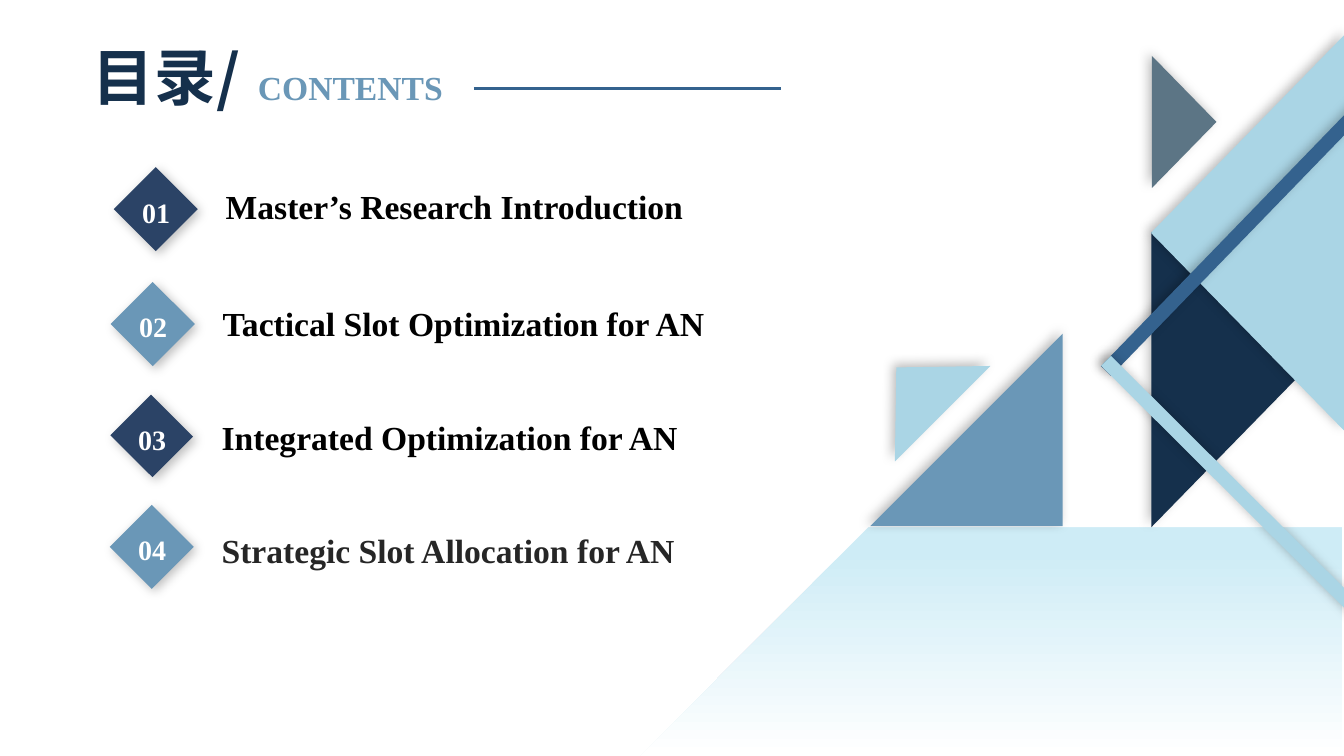
from pptx import Presentation
from pptx.dml.color import RGBColor
from pptx.enum.shapes import MSO_CONNECTOR, MSO_SHAPE
from pptx.enum.text import MSO_ANCHOR, MSO_AUTO_SIZE, PP_ALIGN
from pptx.oxml.ns import qn
from pptx.util import Inches, Pt
from lxml import etree

TRIANGLE, RECT = MSO_SHAPE.ISOSCELES_TRIANGLE, MSO_SHAPE.RECTANGLE
STRAIGHT = MSO_CONNECTOR.STRAIGHT
LEFT, CENTER = PP_ALIGN.LEFT, PP_ALIGN.CENTER
TOP, NO_FIT = MSO_ANCHOR.TOP, MSO_AUTO_SIZE.NONE

WHITE = RGBColor(0xFF, 0xFF, 0xFF)
BLACK = RGBColor(0x00, 0x00, 0x00)
CHARCOAL = RGBColor(0x26, 0x26, 0x26)
NAVY = RGBColor(0x15, 0x30, 0x4C)
INDIGO = RGBColor(0x2B, 0x43, 0x66)
BLUE = RGBColor(0x34, 0x62, 0x8E)
STEEL = RGBColor(0x6A, 0x97, 0xB7)
SLATE = RGBColor(0x5C, 0x75, 0x85)
SKY = RGBColor(0xAA, 0xD5, 0xE5)
ICE = RGBColor(0xCE, 0xEC, 0xF6)

SERIF, CJK = "Times New Roman", "Noto Sans CJK SC"

TRIANGLES = [
    ((8.45, 3.55, 1.34, 0.65), SKY, dict(rot=315, flip="flipH")),
    ((11.09, 0.89, 1.31, 0.64), SLATE, dict(rot=270, flip="flipV")),
    ((10.67, 3.05, 2.93, 1.43), NAVY, dict(rot=90, flip="flipH")),
    ((10.41, 1.35, 3.93, 1.92), SKY, dict(rot=270)),
    ((8.63, 3.31, 1.91, 1.91), STEEL, dict(apex=1)),
]

ITEMS = [
    ("Master’s Research Introduction", 1.25, 1.78, 0.59, 1.72, 7.32, INDIGO, BLACK),
    ("Tactical Slot Optimization for AN", 1.22, 2.92, 0.59, 2.88, 6.02, STEEL, BLACK),
    ("Integrated Optimization for AN", 1.21, 4.04, 0.57, 4.01, 5.33, INDIGO, BLACK),
    ("Strategic Slot Allocation for AN", 1.21, 5.13, 0.59, 5.13, 4.9, STEEL, CHARCOAL),
]


def write(tf, text, size=24, font=SERIF, color=BLACK, align=LEFT, spacing=1.0):
    tf.word_wrap = True
    tf.auto_size = NO_FIT
    tf.vertical_anchor = TOP
    p = tf.paragraphs[0]
    p.alignment = align
    p.line_spacing = spacing
    p.space_before = Pt(0)
    r = p.add_run()
    r.text = text
    r.font.size, r.font.name, r.font.bold = Pt(size), font, True
    r.font.color.rgb = color
    ea = etree.SubElement(r.font._element, qn("a:ea"))
    ea.set("typeface", font)


class Deck:
    def __init__(self):
        self.prs = Presentation()
        self.prs.slide_width, self.prs.slide_height = Inches(13.33), Inches(7.5)
        self.s = self.prs.slides.add_slide(self.prs.slide_layouts[5])

    def effect(self, sp, direction=None):
        effects = etree.SubElement(sp._element.spPr, qn("a:effectLst"))
        if direction is None:
            return
        shadow = etree.SubElement(effects, qn("a:outerShdw"), blurRad=str(Pt(8)),
                                  dist=str(Pt(3)), dir=str(direction * 60000),
                                  rotWithShape="0")
        color = etree.SubElement(shadow, qn("a:srgbClr"), val=str(BLACK))
        etree.SubElement(color, qn("a:alpha"), val="25000")

    def shape(self, kind, box, fill, rot=0, flip=None, apex=None, shadow=None, parent=None):
        sp = (parent or self.s).shapes.add_shape(kind, *map(Inches, box))
        sp.rotation = rot
        if flip:
            sp._element.spPr.find(qn("a:xfrm")).set(flip, "1")
        if apex is not None:
            sp.adjustments[0] = apex
        sp.fill.solid()
        sp.fill.fore_color.rgb = fill
        sp.line.fill.background()
        self.effect(sp, shadow)
        return sp

    def fade(self, sp, stops):
        sp.fill.gradient()
        sp.fill.gradient_angle = 270
        for stop, (position, color) in zip(sp.fill.gradient_stops, stops):
            stop.position = position
            stop.color.rgb = color

    def line(self, start, end, color, width, shadow=None):
        ends = map(Inches, (*start, *end))
        c = self.s.shapes.add_connector(STRAIGHT, *ends)
        c.line.color.rgb = color
        c.line.width = Pt(width)
        self.effect(c, shadow)

    def text(self, box, text, parent=None, **style):
        tb = (parent or self.s).shapes.add_textbox(*map(Inches, box))
        write(tb.text_frame, text, **style)

    def title(self, box, text, **style):
        sp = self.s.shapes.title
        sp.left, sp.top, sp.width, sp.height = map(Inches, box)
        write(sp.text_frame, text, **style)

    def item(self, number, label, x, y, h, label_y, label_w, fill, color):
        group = self.s.shapes.add_group_shape()
        self.shape(RECT, (x, y, 0.59, h), fill, rot=45, shadow=45, parent=group)
        self.text((x - 0.1, y + 0.04, 0.8, 0.47), f"{number:02d}", parent=group,
                  size=20, color=WHITE, align=CENTER, spacing=1.2)
        self.text((x + 0.89, label_y, label_w, 0.54), label, parent=group,
                  color=color, spacing=1.2)


def main():
    deck = Deck()
    floor = deck.shape(TRIANGLE, (6.35, 0.52, 6.96, 6.98), ICE, apex=1)
    deck.fade(floor, [(0.71, ICE), (1, WHITE)])
    deck.shape(TRIANGLE, (8.41, 0.31, 4.9, 4.92), WHITE, apex=1)
    for box, fill, form in TRIANGLES:
        deck.shape(TRIANGLE, box, fill, shadow=225, **form)
    deck.line((10.97, 3.68), (13.77, 0.79), BLUE, 10, shadow=225)
    deck.line((13.52, 6.12), (10.97, 3.58), SKY, 10, shadow=225)

    deck.text((2.19, 0.61, 2.57, 0.5), "CONTENTS", color=STEEL, align=CENTER)
    deck.title((0.82, 0.34, 2.35, 0.84), "目录/", size=44, font=CJK, color=NAVY)
    deck.line((4.7, 0.88), (7.75, 0.88), BLUE, 2.25)
    for number, item in enumerate(ITEMS, 1):
        deck.item(number, *item)
    deck.prs.save("out.pptx")


if __name__ == "__main__":
    main()
